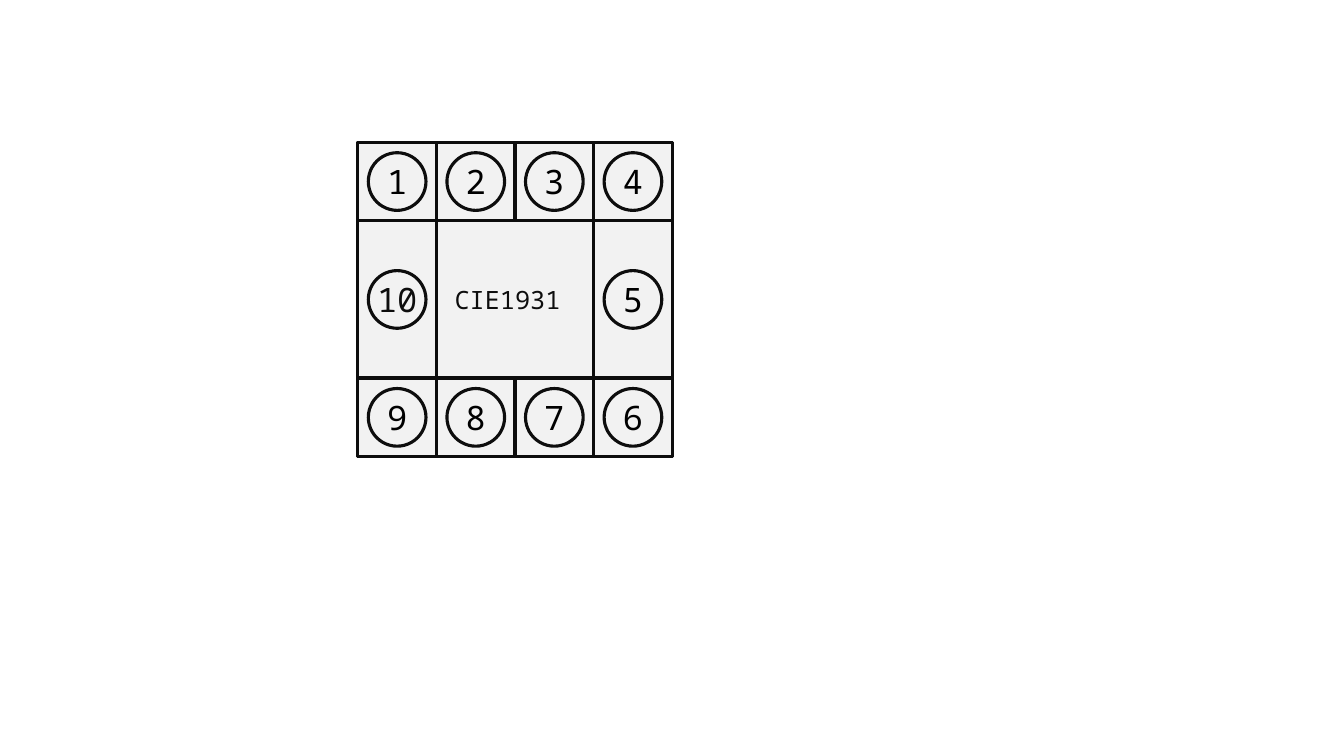
from pptx import Presentation
from pptx.dml.color import RGBColor
from pptx.enum.shapes import MSO_SHAPE
from pptx.enum.text import MSO_ANCHOR, PP_ALIGN
from pptx.util import Pt

RECT, OVAL = MSO_SHAPE.RECTANGLE, MSO_SHAPE.OVAL
MIDDLE, CENTER = MSO_ANCHOR.MIDDLE, PP_ALIGN.CENTER
GRAY = RGBColor(0xF2, 0xF2, 0xF2)
INK = RGBColor(0x0D, 0x0D, 0x0D)
BLACK = RGBColor(0, 0, 0)
FONT = "Noto Sans Mono"
LINE_WIDTH = 2.25
CIRCLE = 41.2
BLANK_LAYOUT = 6


def add_text(sp, text, size=24, color=BLACK):
    tf = sp.text_frame
    tf.word_wrap = True
    tf.vertical_anchor = MIDDLE
    tf.margin_left = tf.margin_right = tf.margin_top = tf.margin_bottom = 0
    p = tf.paragraphs[0]
    p.alignment = CENTER
    r = p.add_run()
    r.text = text
    r.font.size = Pt(size)
    r.font.name = FONT
    r.font.color.rgb = color


def add_outlined(s, kind, x, y, w, h, filled=True):
    sp = s.shapes.add_shape(kind, Pt(x), Pt(y), Pt(w), Pt(h))
    sp.shadow.inherit = False
    if filled:
        sp.fill.solid()
        sp.fill.fore_color.rgb = GRAY
    else:
        sp.fill.background()
    sp.line.color.rgb = INK
    sp.line.width = Pt(LINE_WIDTH)
    return sp


def add_ring_cell(s, number, x, y, w, h):
    cell = add_outlined(s, RECT, x, y, w, h)
    wide = len(number) > 1
    circle = add_outlined(s, OVAL, x + (w - CIRCLE) / 2, y + (h - CIRCLE) / 2,
                          CIRCLE, CIRCLE, filled=not wide)
    if wide:
        add_text(cell, number, color=INK)
    else:
        add_text(circle, number)


def add_patch_ring(s, x, y, side):
    unit = side / 4
    add_outlined(s, RECT, x, y, side, side)
    top = [(col, 0, 1) for col in range(4)]
    bottom = [(col, 3, 1) for col in reversed(range(4))]
    clockwise = top + [(3, 1, 2)] + bottom + [(0, 1, 2)]
    for number, (col, row, span) in enumerate(clockwise, 1):
        add_ring_cell(s, str(number), x + col * unit, y + row * unit,
                      unit, span * unit)
    center = add_outlined(s, RECT, x + unit, y + unit, 2 * unit, 2 * unit)
    add_text(center, "CIE1931 ", size=18, color=INK)


prs = Presentation()
prs.slide_width, prs.slide_height = Pt(960), Pt(540)
s = prs.slides.add_slide(prs.slide_layouts[BLANK_LAYOUT])
add_patch_ring(s, x=255.6, y=101.6, side=224.6)
prs.save("out.pptx")
